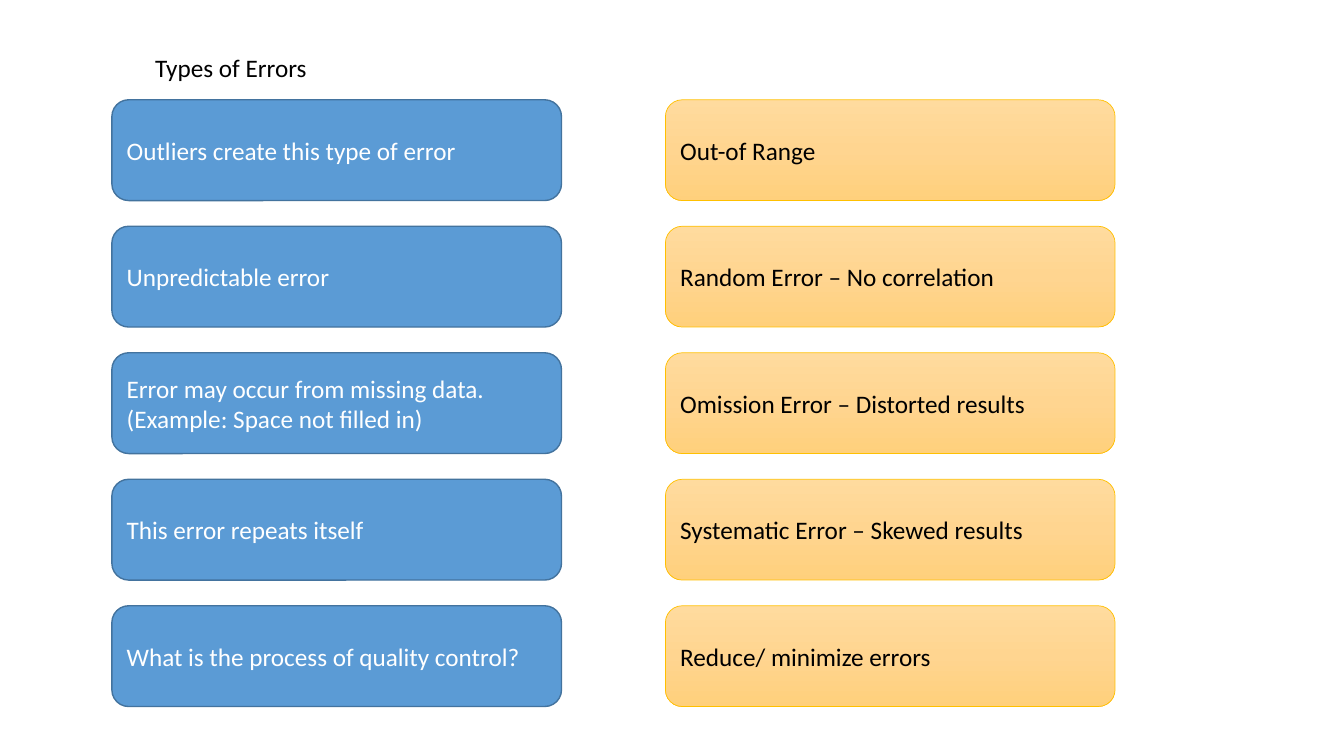
from copy import deepcopy

from pptx import Presentation
from pptx.dml.color import RGBColor as Color
from pptx.enum.shapes import MSO_SHAPE as Shape
from pptx.enum.text import MSO_ANCHOR as Anchor, MSO_AUTO_SIZE as AutoSize, PP_ALIGN as Align
from pptx.oxml.ns import qn
from pptx.util import Inches, Pt

TITLE = "Types of Errors"
PAIRS = [
    (["Outliers create this type of error"], ["Out-of Range"]),
    (["Unpredictable error"], ["Random Error – No correlation"]),
    (["Error may occur from missing data.", "(Example: Space not filled in)"],
     ["Omission Error – Distorted results"]),
    (["This error repeats itself"], ["Systematic Error – Skewed results"]),
    (["What is the process of quality control?"], ["Reduce/ minimize errors"]),
]
THEME = {
    "font": "Calibri",
    "size": 18,
    "title": "000000",
    "prompt": {"left": 1.11, "fill": ["5B9BD5"], "line": "43739E", "weight": 1, "text": "FFFFFF"},
    "answer": {"left": 6.6, "fill": ["FFDB9E", "FFD590", "FFD07C"], "line": "FFC000",
               "weight": 0.5, "text": "000000"},
}
BOX_WIDTH, BOX_HEIGHT = 4.46, 1
FIRST_TOP, LAST_TOP = 0.99, 6.01


def write(frame, lines, color):
    for index, line in enumerate(lines):
        para = frame.paragraphs[0] if index == 0 else frame.add_paragraph()
        para.alignment = Align.LEFT
        span = para.add_run()
        span.text = line
        span.font.color.rgb = Color.from_string(color)
        for name, value in {"name": THEME["font"], "size": Pt(THEME["size"])}.items():
            setattr(span.font, name, value)


def paint(box, colors):
    if len(colors) == 1:
        box.fill.solid()
        box.fill.fore_color.rgb = Color.from_string(colors[0])
        return
    box.fill.gradient()
    box.fill.gradient_angle = 270
    stop_list = box._element.spPr.find(qn("a:gradFill")).find(qn("a:gsLst"))
    while len(stop_list) < len(colors):
        stop_list.append(deepcopy(stop_list[0]))
    for index, (stop, color) in enumerate(zip(box.fill.gradient_stops, colors)):
        stop.position = index / (len(colors) - 1)
        stop.color.rgb = Color.from_string(color)


def add_card(page, top, lines, style):
    box = page.shapes.add_shape(Shape.ROUNDED_RECTANGLE, Inches(style["left"]), Inches(top),
                                Inches(BOX_WIDTH), Inches(BOX_HEIGHT))
    box.shadow.inherit = False
    paint(box, style["fill"])
    box.line.color.rgb = Color.from_string(style["line"])
    box.line.width = Pt(style["weight"])
    for name, value in {"word_wrap": True, "vertical_anchor": Anchor.MIDDLE}.items():
        setattr(box.text_frame, name, value)
    write(box.text_frame, lines, style["text"])


def main():
    deck = Presentation()
    deck.slide_width, deck.slide_height = Inches(13.33), Inches(7.5)
    page = deck.slides.add_slide(deck.slide_layouts[6])

    title = page.shapes.add_textbox(Inches(1.44), Inches(0.47), Inches(1.72), Inches(0.4))
    for name, value in {"word_wrap": False, "auto_size": AutoSize.SHAPE_TO_FIT_TEXT}.items():
        setattr(title.text_frame, name, value)
    write(title.text_frame, [TITLE], THEME["title"])

    pitch = (LAST_TOP - FIRST_TOP) / (len(PAIRS) - 1)
    for row, (prompt, answer) in enumerate(PAIRS):
        top = FIRST_TOP + row * pitch
        add_card(page, top, prompt, THEME["prompt"])
        add_card(page, top, answer, THEME["answer"])

    deck.save("out.pptx")


if __name__ == "__main__":
    main()
